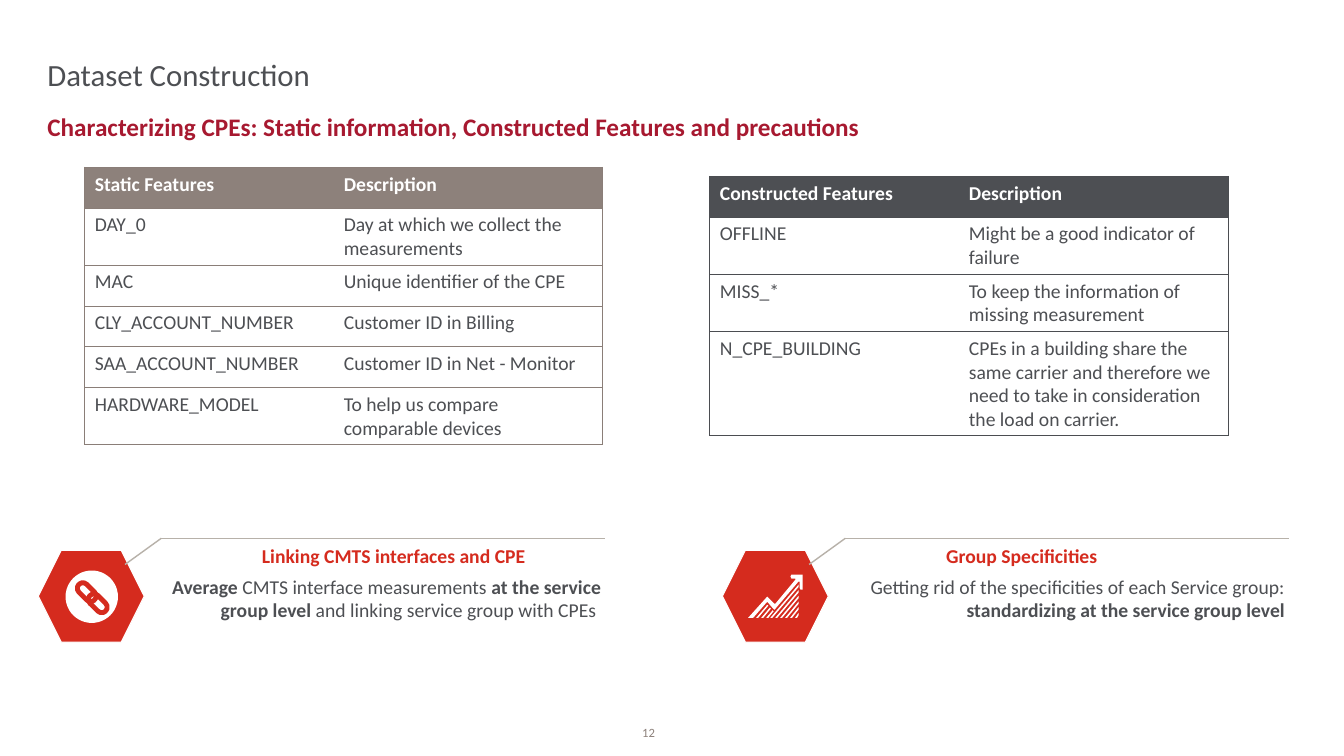
from dataclasses import dataclass

from lxml.etree import SubElement
from pptx import Presentation
from pptx.dml.color import RGBColor
from pptx.enum.shapes import MSO_CONNECTOR, MSO_SHAPE
from pptx.enum.text import MSO_ANCHOR, PP_ALIGN
from pptx.oxml.ns import qn
from pptx.shapes.autoshape import Shape
from pptx.slide import Slide
from pptx.table import _Cell
from pptx.text.text import TextFrame, _Paragraph
from pptx.util import Emu, Inches, Pt

FONT = "Calibri"
WHITE = RGBColor(0xFF, 0xFF, 0xFF)
CHARCOAL = RGBColor(0x4D, 0x4F, 0x53)
CHARCOAL_EDGE = RGBColor(0x4B, 0x4D, 0x51)
TAUPE = RGBColor(0x8D, 0x81, 0x7B)
TAUPE_EDGE = RGBColor(0x8A, 0x7E, 0x78)
STONE = RGBColor(0xB7, 0xB1, 0xA9)
CRIMSON = RGBColor(0xA7, 0x19, 0x30)
RED = RGBColor(0xD5, 0x2B, 0x1E)

SLIDE_WIDTH, SLIDE_HEIGHT = Inches(13.33), Inches(7.5)
COLUMNS, ROWS = 133.3, 75
CALLOUT_PITCH = 67.85


@dataclass(frozen=True)
class Area:
    left: float
    top: float
    width: float
    height: float

    def emu(self) -> tuple[Emu, Emu, Emu, Emu]:
        return columns(self.left), rows(self.top), columns(self.width), rows(self.height)


@dataclass(frozen=True)
class FeatureTable:
    area: Area
    heading: str
    features: list[tuple[str, str]]
    header_fill: RGBColor
    edge: RGBColor


@dataclass(frozen=True)
class Callout:
    left: float
    heading: str
    phrases: list[tuple[str, bool]]


def columns(count: float) -> Emu:
    return Emu(round(SLIDE_WIDTH * count / COLUMNS))


def rows(count: float) -> Emu:
    return Emu(round(SLIDE_HEIGHT * count / ROWS))


def set_font(paragraph: _Paragraph, size: float, color: RGBColor, bold: bool | None = False) -> None:
    paragraph.font.name = FONT
    paragraph.font.size = Pt(size)
    paragraph.font.color.rgb = color
    paragraph.font.bold = bold


def clear_insets(frame: TextFrame, anchor: MSO_ANCHOR) -> None:
    frame.margin_left = frame.margin_top = frame.margin_right = frame.margin_bottom = 0
    frame.vertical_anchor = anchor
    frame.word_wrap = True


def add_text(slide: Slide, area: Area, align: PP_ALIGN) -> TextFrame:
    frame = slide.shapes.add_textbox(*area.emu()).text_frame
    frame.word_wrap = True
    frame.paragraphs[0].alignment = align
    return frame


def paint(shape: Shape, fill: RGBColor, edge: RGBColor | None = None) -> None:
    shape.shadow.inherit = False
    shape.fill.solid()
    shape.fill.fore_color.rgb = fill
    if edge is None:
        shape.line.fill.background()
    else:
        shape.line.color.rgb = edge
        shape.line.width = Pt(0.75)


def add_rule(slide: Slide, start: tuple[float, float], end: tuple[float, float]) -> None:
    rule = slide.shapes.add_connector(
        MSO_CONNECTOR.STRAIGHT, columns(start[0]), rows(start[1]), columns(end[0]), rows(end[1]))
    rule.line.color.rgb = STONE
    rule.line.width = Pt(1)
    SubElement(rule._element.spPr, qn("a:effectLst"))


def add_outline(slide: Slide, points: list[tuple[float, float]]) -> None:
    corners = [(columns(x), rows(y)) for x, y in points]
    builder = slide.shapes.build_freeform(*corners[0])
    builder.add_line_segments(corners[1:], close=True)
    paint(builder.convert_to_shape(), WHITE)


def set_borders(cell: _Cell, edge: RGBColor, first: bool, last: bool) -> None:
    properties = cell._tc.get_or_add_tcPr()
    for side, visible in (("L", first), ("R", last), ("T", True), ("B", True)):
        border = SubElement(properties, qn(f"a:ln{side}"), w=str(Pt(0.75)))
        if visible:
            fill = SubElement(border, qn("a:solidFill"))
            SubElement(fill, qn("a:srgbClr"), val=str(edge))
        else:
            SubElement(border, qn("a:noFill"))


def add_features(slide: Slide, spec_table: FeatureTable) -> None:
    entries = [(spec_table.heading, "Description"), *spec_table.features]
    table = slide.shapes.add_table(len(entries), 2, *spec_table.area.emu()).table
    table.horz_banding = False
    table.first_row = False
    for column, width in zip(table.columns, (24.7, 26.7)):
        column.width = columns(width)
    for row_index, entry in enumerate(entries):
        table.rows[row_index].height = rows(4.05)
        header = row_index == 0
        for column_index, wording in enumerate(entry):
            cell = table.cell(row_index, column_index)
            cell.text = wording
            set_font(cell.text_frame.paragraphs[0], 14, WHITE if header else CHARCOAL, header)
            set_borders(cell, spec_table.edge, column_index == 0, column_index == 1)
            if header:
                cell.fill.solid()
                cell.fill.fore_color.rgb = spec_table.header_fill
            else:
                cell.fill.background()


def add_callout(slide: Slide, callout: Callout) -> None:
    left = callout.left
    add_rule(slide, (left + 12.2, 53.4), (left + 56.2, 53.4))
    heading = add_text(slide, Area(left + 21.2, 53.5, 35, 3.4), PP_ALIGN.RIGHT)
    heading.text = callout.heading
    set_font(heading.paragraphs[0], 14, RED, True)
    detail = add_text(slide, Area(left + 12.1, 56.5, 44.7, 5.7), PP_ALIGN.RIGHT).paragraphs[0]
    set_font(detail, 14, CHARCOAL, None)
    for wording, bold in callout.phrases:
        run = detail.add_run()
        run.text = wording
        run.font.bold = bold
    hexagon = slide.shapes.add_shape(MSO_SHAPE.HEXAGON, *Area(left, 54.6, 10.5, 9.1).emu())
    paint(hexagon, RED, WHITE)
    add_rule(slide, (left + 8.6, 56), (left + 12.2, 53.4))


def add_chain_icon(slide: Slide) -> None:
    disc = slide.shapes.add_shape(MSO_SHAPE.OVAL, *Area(6.5, 56.6, 5.2, 5.2).emu())
    paint(disc, WHITE)
    for center_x, center_y in ((8.6, 58.75), (9.7, 59.85)):
        link = slide.shapes.add_shape(
            MSO_SHAPE.ROUNDED_RECTANGLE, *Area(center_x - 1.1, center_y - 0.55, 2.2, 1.1).emu())
        link.adjustments[0] = 0.5
        link.rotation = 45
        link.shadow.inherit = False
        link.fill.background()
        link.line.color.rgb = RED
        link.line.width = Pt(3.5)


def add_growth_icon(slide: Slide) -> None:
    base, right = 61.3, 79.2
    add_outline(slide, [
        (79.6, 57), (78.5, 57), (78.4, 57.2), (78.5, 57.4), (78.9, 57.4), (78.9, 57.5),
        (76.9, 59.9), (76.8, 59.9), (76.2, 59.3), (76.1, 59.2), (76, 59.3), (74.2, base),
        (74.7, base), (76.1, 59.7), (76.7, 60.4), (76.8, 60.5), (76.9, 60.4), (79.2, 57.7),
        (79.3, 57.7), (79.3, 58.3), (79.4, 58.5), (79.6, 58.5), (79.6, 58.3)])
    for stripe in range(3):
        foot, peak_x, peak_y = 75 + 0.5 * stripe, 76.1 + 0.27 * stripe, 60 + 0.27 * stripe
        add_outline(slide, [(peak_x, peak_y), (foot, base), (foot + 0.2, base),
                            (peak_x + 0.1, peak_y + 0.1)])
    for stripe in range(6):
        foot, peak = 76.4 + 0.49 * stripe, 58 + 0.56 * stripe
        add_outline(slide, [(right, peak), (foot, base), (foot + 0.2, base), (right, peak + 0.24)])


FEATURE_TABLES = [
    FeatureTable(Area(8.4, 16.6, 51.4, 24.3), "Static Features", [
        ("DAY_0", "Day at which we collect the measurements"),
        ("MAC", "Unique identifier of the CPE"),
        ("CLY_ACCOUNT_NUMBER", "Customer ID in Billing"),
        ("SAA_ACCOUNT_NUMBER", "Customer ID in Net - Monitor"),
        ("HARDWARE_MODEL", "To help us compare comparable devices"),
    ], TAUPE, TAUPE_EDGE),
    FeatureTable(Area(70.4, 17.5, 51.4, 16.2), "Constructed Features", [
        ("OFFLINE", "Might be a good indicator of failure"),
        ("MISS_*", "To keep the information of missing measurement"),
        ("N_CPE_BUILDING", "CPEs in a building share the same carrier and therefore "
                           "we need to take in consideration the load on carrier."),
    ], CHARCOAL, CHARCOAL_EDGE),
]
CALLOUTS = [
    Callout(3.8, "Linking CMTS interfaces and CPE", [
        ("Average", True), (" CMTS interface measurements ", False),
        ("at the service group level", True), (" and linking service group with CPEs ", False)]),
    Callout(3.8 + CALLOUT_PITCH, "Group Specificities", [
        ("Getting rid of the specificities of each Service group: ", False),
        ("standardizing at the service group level", True)]),
]


def main() -> None:
    deck = Presentation()
    deck.slide_width, deck.slide_height = SLIDE_WIDTH, SLIDE_HEIGHT
    slide = deck.slides.add_slide(deck.slide_layouts[5])
    title = slide.shapes.title
    title.left, title.top, title.width, title.height = Area(4.7, 2.1, 123.9, 7.1).emu()
    title.text_frame.text = "Dataset Construction"
    clear_insets(title.text_frame, MSO_ANCHOR.BOTTOM)
    title.text_frame.paragraphs[0].alignment = PP_ALIGN.LEFT
    set_font(title.text_frame.paragraphs[0], 22, CHARCOAL)

    subtitle = add_text(slide, Area(4.7, 11, 123.9, 3.7), PP_ALIGN.LEFT)
    clear_insets(subtitle, MSO_ANCHOR.TOP)
    subtitle.text = "Characterizing CPEs: Static information, Constructed Features and precautions"
    set_font(subtitle.paragraphs[0], 18, CRIMSON, True)

    for feature_table in FEATURE_TABLES:
        add_features(slide, feature_table)
    for callout in CALLOUTS:
        add_callout(slide, callout)
    add_chain_icon(slide)
    add_growth_icon(slide)

    page_number = add_text(slide, Area(63.7, 71.1, 6, 2.3), PP_ALIGN.CENTER)
    clear_insets(page_number, MSO_ANCHOR.BOTTOM)
    page_number.text = "12"
    set_font(page_number.paragraphs[0], 9, TAUPE)
    deck.save("out.pptx")


if __name__ == "__main__":
    main()
